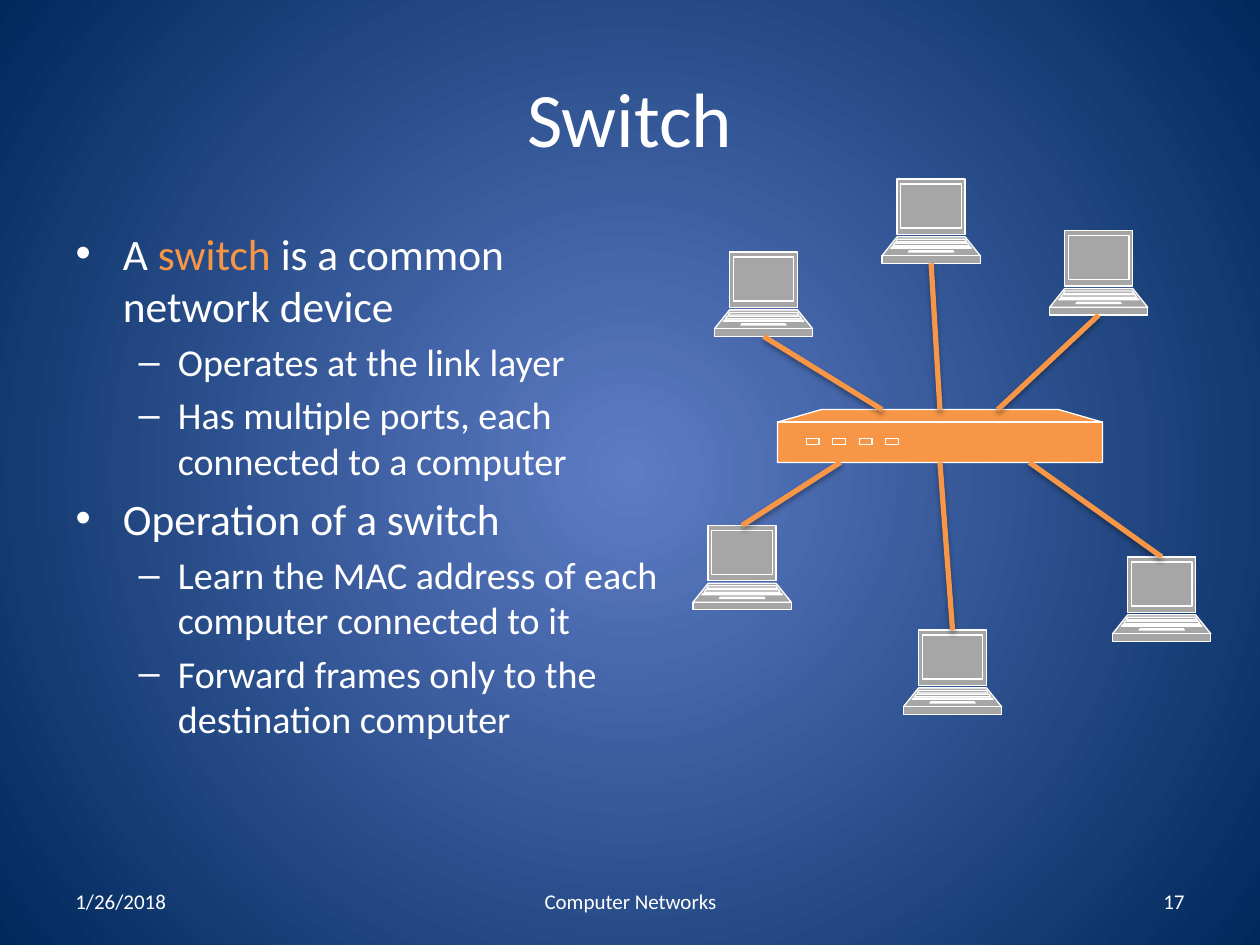
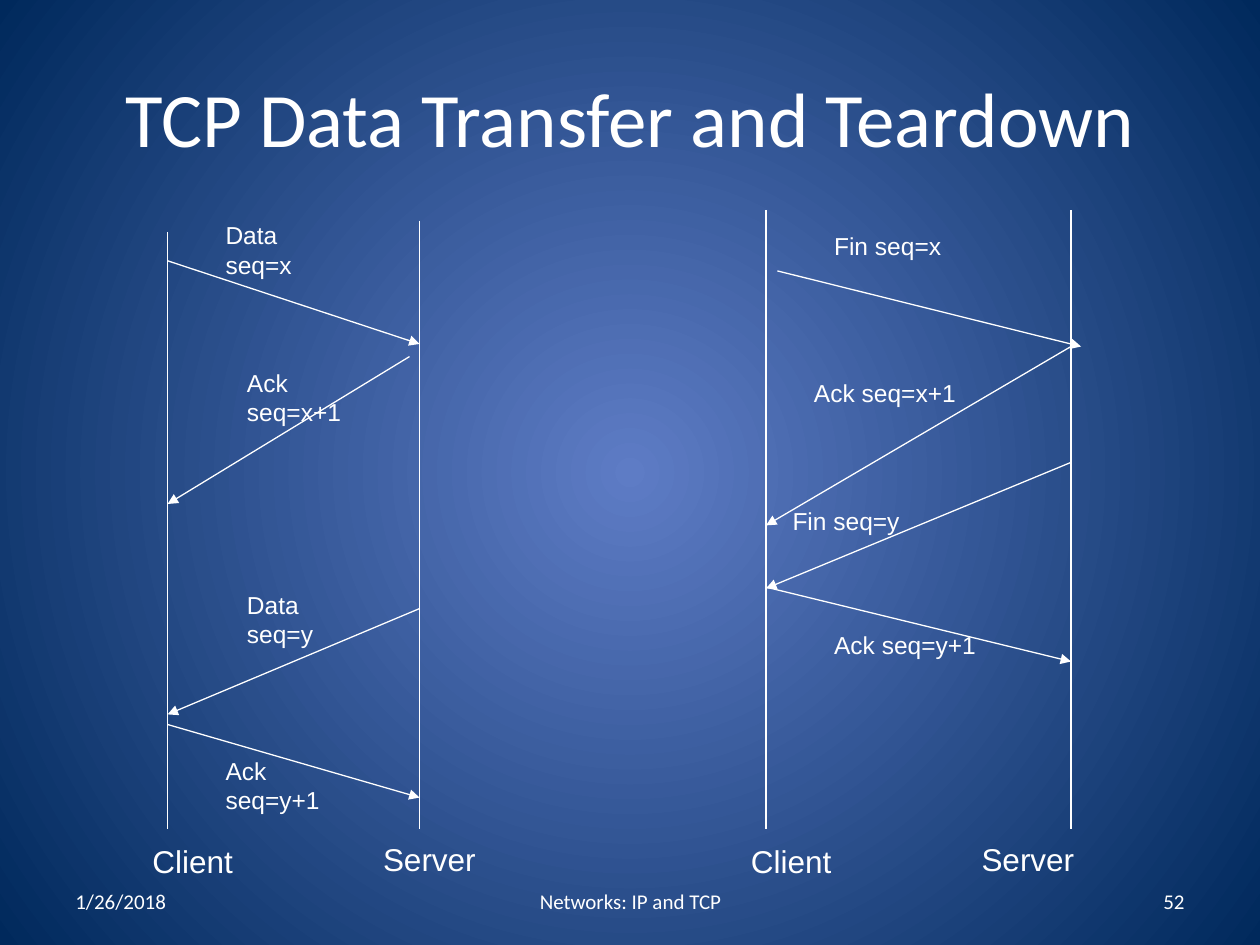
from lxml import etree
from pptx import Presentation
from pptx import util as u
from pptx.dml import color
from pptx.enum import shapes, text
from pptx.oxml import ns


class Theme:
    white = color.RGBColor.from_string("FFFFFF")
    orange = color.RGBColor.from_string("F79646")
    grey = color.RGBColor.from_string("A6A6A6")
    glow = color.RGBColor.from_string("5E7CC5")
    navy = color.RGBColor.from_string("00295C")
    thin, thick = u.Pt(0.75), u.Pt(3)
    title = {"name": "Calibri", "size": u.Pt(44)}
    items = [{"name": "Calibri", "size": u.Pt(24.8)},
             {"name": "Calibri", "size": u.Pt(21.7)}]
    foot = {"name": "Calibri", "size": u.Pt(12)}
    note = {"name": "Arial", "size": u.Pt(14)}
    role = {"name": "Arial", "size": u.Pt(18)}


def write(para, bits, look, form={}):
    for key, val in form.items():
        setattr(para, key, val)
    for words, tint in bits:
        run = para.add_run()
        run.text = words
        for key, val in look.items():
            setattr(run.font, key, val)
        run.font.color.rgb = tint


def wire(slide, start, end, tint, width, arrow=False, shade=False):
    line = slide.shapes.add_connector(
        shapes.MSO_CONNECTOR.STRAIGHT, *[u.Inches(v) for v in start + end])
    line.line.color.rgb = tint
    line.line.width = width
    if arrow:
        etree.SubElement(line.line._ln, ns.qn("a:tailEnd"), type="triangle")
    fx = etree.SubElement(line._element.spPr, ns.qn("a:effectLst"))
    if shade:
        drop = etree.SubElement(
            fx, ns.qn("a:outerShdw"), blurRad=str(u.Pt(3.1)),
            dist=str(u.Pt(1.8)), dir="5400000", rotWithShape="0")
        ink = etree.SubElement(drop, ns.qn("a:srgbClr"), val="000000")
        etree.SubElement(ink, ns.qn("a:alpha"), val="35000")


deck = Presentation()
deck.slide_width, deck.slide_height = u.Inches(10), u.Inches(7.5)

fill = deck.slide_master.background.fill
fill.gradient()
for stop, tint in zip(fill.gradient_stops, (Theme.glow, Theme.navy)):
    stop.color.rgb = tint
lin = next(deck.slide_master._element.iter(ns.qn("a:lin")))
ring = etree.Element(ns.qn("a:path"), path="circle")
etree.SubElement(ring, ns.qn("a:fillToRect"),
                 l="50000", t="50000", r="50000", b="50000")
lin.getparent().replace(lin, ring)

pages = []
for layout, title, foot, number in [
        (1, "Switch", "Computer Networks", "17"),
        (5, "TCP Data Transfer and Teardown", "Networks: IP and TCP", "52")]:
    slide = deck.slides.add_slide(deck.slide_layouts[layout])
    pages.append(slide)
    head = slide.shapes.title
    for key, val in zip(("left", "top", "width", "height"), (0.5, 0.3, 9, 1.25)):
        setattr(head, key, u.Inches(val))
    head.text_frame.vertical_anchor = text.MSO_ANCHOR.MIDDLE
    write(head.text_frame.paragraphs[0], [(title, Theme.white)], Theme.title,
          {"alignment": text.PP_ALIGN.CENTER})
    for words, left, width, align in [
            ("1/26/2018", 0.5, 2.33, text.PP_ALIGN.LEFT),
            (foot, 3.42, 3.17, text.PP_ALIGN.CENTER),
            (number, 7.17, 2.33, text.PP_ALIGN.RIGHT)]:
        frame = slide.shapes.add_textbox(
            u.Inches(left), u.Inches(6.95), u.Inches(width), u.Inches(0.4)).text_frame
        frame.word_wrap = True
        frame.vertical_anchor = text.MSO_ANCHOR.MIDDLE
        write(frame.paragraphs[0], [(words, Theme.white)], Theme.foot,
              {"alignment": align})

lan, tcp = pages

body = lan.placeholders[1]
for key, val in zip(("left", "top", "width", "height"), (0.5, 1.75, 4.83, 4.95)):
    setattr(body, key, u.Inches(val))
body.text_frame.auto_size = text.MSO_AUTO_SIZE.NONE
points = [
    (0, [("A ", Theme.white), ("switch", Theme.orange),
         (" is a common network device", Theme.white)]),
    (1, [("Operates at the link layer", Theme.white)]),
    (1, [("Has multiple ports, each connected to a computer", Theme.white)]),
    (0, [("Operation of a switch", Theme.white)]),
    (1, [("Learn the MAC address of each computer connected to it", Theme.white)]),
    (1, [("Forward frames only to the destination computer", Theme.white)]),
]
for i, (level, bits) in enumerate(points):
    para = body.text_frame.add_paragraph() if i else body.text_frame.paragraphs[0]
    write(para, bits, Theme.items[level], {"level": level})

mid, tall = 0.39, 0.67
bands = [(0, 0.44, 0.27, 0.27), (0.46, 0.61, 0.27, 0.39),
         (0.61, tall, 0.39, 0.39), (0.04, 0.39, 0.24, 0.24),
         (0.48, 0.5, 0.27, 0.28), (0.57, 0.58, 0.17, 0.18),
         (0.51, 0.53, 0.29, 0.3), (0.54, 0.55, 0.31, 0.32)]
laptop = [[(mid - a, top), (mid + a, top), (mid + b, low), (mid - b, low)]
          for top, low, a, b in bands]
wide, high, lip = 2.58, 0.42, 0.1
hub = [[(0, lip), (0.35, 0), (wide - 0.35, 0), (wide, lip), (wide, high), (0, high)],
       [(0, lip), (wide, lip)]]
for i in range(4):
    x = 0.23 + 0.21 * i
    hub.append([(x, 0.23), (x + 0.1, 0.23), (x + 0.1, 0.28), (x, 0.28)])

deckx, decky = 6.17, 3.25
hosts = [(5.5, 4.17, 6.67), (7.17, 5, 7.46), (8.83, 4.42, 8.17),
         (5.67, 2, 7), (7, 1.42, 7.46), (8.33, 1.83, 7.92)]
parts = [(laptop, x, y, Theme.grey) for x, y, port in hosts]
parts.insert(1, (hub, deckx, decky, Theme.orange))
for rings, left, top, tint in parts:
    pen = None
    for ring in rings:
        spots = [(u.Inches(x), u.Inches(y)) for x, y in ring]
        if pen is None:
            pen = lan.shapes.build_freeform(*spots[0])
        else:
            pen.move_to(*spots[0])
        pen.add_line_segments(spots[1:], close=len(spots) > 2)
    form = pen.convert_to_shape(u.Inches(left), u.Inches(top))
    form.shadow.inherit = False
    form.fill.solid()
    form.fill.fore_color.rgb = tint
    form.line.color.rgb = Theme.white
    form.line.width = Theme.thin
    group = next(form._element.iter(ns.qn("a:pathLst")))
    whole = group[0]
    for node in list(whole):
        if node.tag == ns.qn("a:moveTo"):
            piece = etree.SubElement(group, whole.tag, dict(whole.attrib))
        piece.append(node)
    group.remove(whole)

for x, y, port in hosts:
    above = y < decky
    wire(lan, (x + mid, y + tall if above else y),
         (port, decky if above else decky + high),
         Theme.orange, Theme.thick, shade=True)

for x, top in [(1.33, 1.84), (3.33, 1.75), (6.08, 1.67), (8.5, 1.67)]:
    wire(tcp, (x, top), (x, 6.58), Theme.white, Theme.thin)
for start, end in [
        ((1.33, 2.07), (3.33, 2.73)), ((3.25, 2.83), (1.33, 4)),
        ((3.33, 4.83), (1.33, 5.67)), ((1.33, 5.75), (3.33, 6.33)),
        ((6.17, 2.15), (8.58, 2.75)), ((8.5, 2.75), (6.08, 4.17)),
        ((8.5, 3.67), (6.08, 4.67)), ((6.08, 4.66), (8.5, 5.25))]:
    wire(tcp, start, end, Theme.white, Theme.thin, arrow=True)

inset = {"margin_left": u.Inches(0.04), "margin_right": u.Inches(0.04),
         "margin_top": 0, "margin_bottom": 0, "word_wrap": True}
for words, x, y, width, height, look, gap in [
        ("Data seq=x", 1.75, 1.75, 1, 0.56, Theme.note, 8.8),
        ("Ack seq=x+1", 1.92, 2.92, 1, 0.56, Theme.note, 8.8),
        ("Data seq=y", 1.92, 4.68, 1, 0.56, Theme.note, 8.8),
        ("Ack seq=y+1", 1.75, 6, 1, 0.56, Theme.note, 8.8),
        ("Fin seq=x", 6.58, 1.83, 1.33, 0.34, Theme.note, 8.8),
        ("Ack seq=x+1", 6.42, 3, 1.42, 0.34, Theme.note, 8.8),
        ("Fin seq=y", 6.25, 4.02, 1.67, 0.34, Theme.note, 8.8),
        ("Ack seq=y+1", 6.58, 5, 1.5, 0.34, Theme.note, 8.8),
        ("Client", 1.17, 6.68, 1, 0.39, Theme.role, 11.2),
        ("Server", 3, 6.67, 1, 0.39, Theme.role, 11.2),
        ("Client", 5.92, 6.68, 1, 0.39, Theme.role, 11.2),
        ("Server", 7.75, 6.67, 1, 0.39, Theme.role, 11.2)]:
    frame = tcp.shapes.add_textbox(
        *[u.Inches(v) for v in (x, y, width, height)]).text_frame
    for key, val in inset.items():
        setattr(frame, key, val)
    write(frame.paragraphs[0], [(words, Theme.white)], look,
          {"space_before": u.Pt(gap)})

deck.save("out.pptx")
